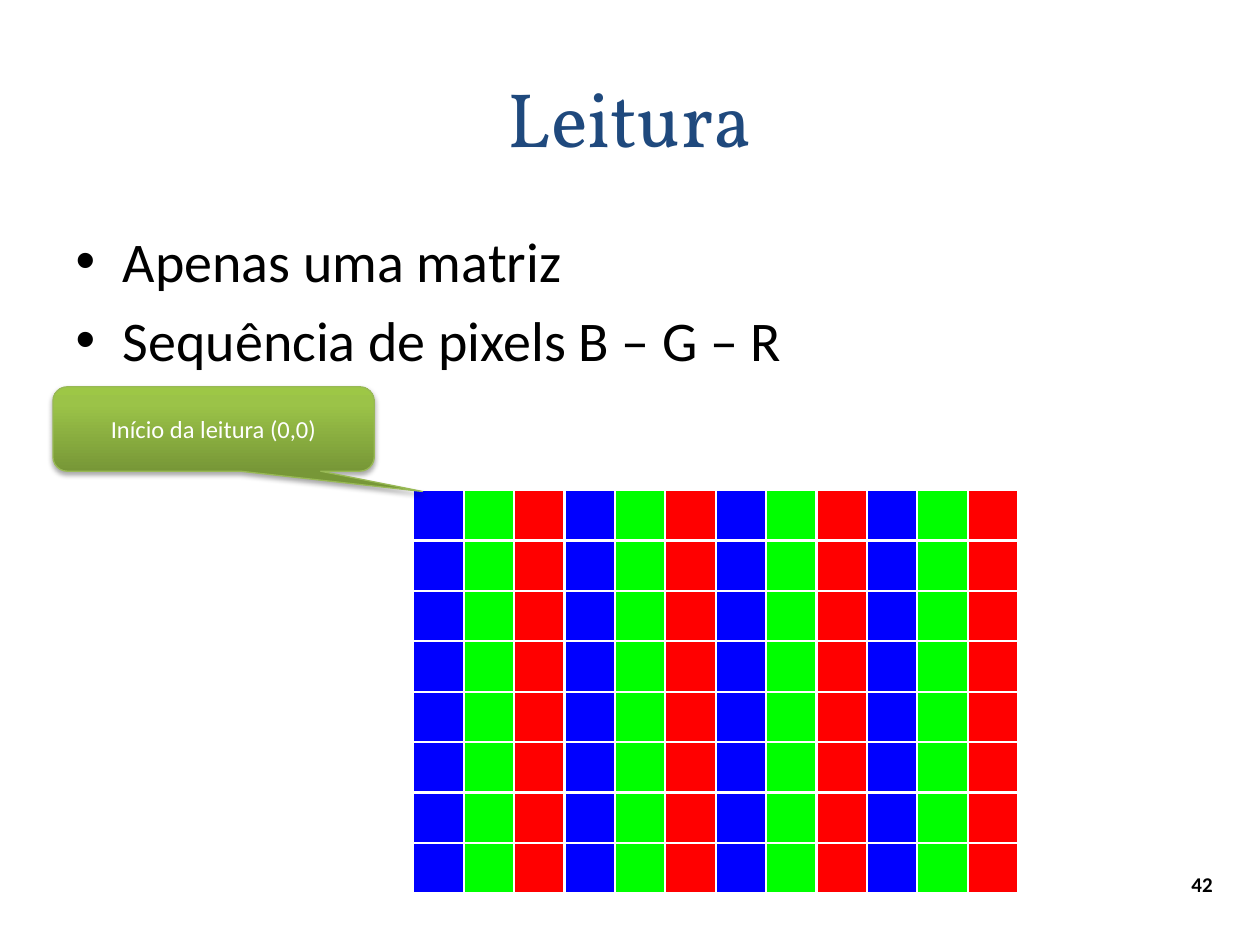
import dataclasses

import pptx
import pptx.dml.color
import pptx.enum.shapes
import pptx.enum.text
import pptx.oxml
import pptx.oxml.ns
import pptx.util

Inches = pptx.util.Inches
Pt = pptx.util.Pt
qn = pptx.oxml.ns.qn
ALIGN = pptx.enum.text.PP_ALIGN
MIDDLE = pptx.enum.text.MSO_ANCHOR.MIDDLE
NS = pptx.oxml.ns.nsdecls("a")


@dataclasses.dataclass(frozen=True)
class Box:
    left: float
    top: float
    width: float
    height: float

    def emu(self) -> tuple:
        return tuple(Inches(v) for v in dataclasses.astuple(self))


@dataclasses.dataclass(frozen=True)
class PixelGrid:
    left: float
    top: float
    side: float
    rows: int
    pixels: int
    channels: tuple


def rgb(value: str) -> pptx.dml.color.RGBColor:
    return pptx.dml.color.RGBColor.from_string(value)


def add_text(p, text: str, size=32, font="Calibri", color="000000",
             bold=False, align=None) -> None:
    if align is not None:
        p.alignment = align
    r = p.add_run()
    r.text = text
    r.font.size = Pt(size)
    r.font.name = font
    r.font.bold = bold
    r.font.color.rgb = rgb(color)


def place(sp, box: Box) -> None:
    sp.left, sp.top, sp.width, sp.height = box.emu()


def format_cell(cell, color: str) -> None:
    cell.margin_left = cell.margin_right = 0
    cell.margin_top = cell.margin_bottom = 0
    tcPr = cell._tc.get_or_add_tcPr()
    for side in ("lnL", "lnR", "lnT", "lnB"):
        tcPr.append(pptx.oxml.parse_xml(
            f'<a:{side} {NS} w="{Pt(1.5)}"><a:solidFill>'
            f'<a:srgbClr val="FFFFFF"/></a:solidFill></a:{side}>'))
    cell.fill.solid()
    cell.fill.fore_color.rgb = rgb(color)


def add_grid(s, grid: PixelGrid) -> None:
    cols = grid.pixels * len(grid.channels)
    box = Box(grid.left, grid.top, cols * grid.side, grid.rows * grid.side)
    table = s.shapes.add_table(grid.rows, cols, *box.emu()).table
    for line in (*table.columns,):
        line.width = Inches(grid.side)
    for row in table.rows:
        row.height = Inches(grid.side)
        for i, cell in enumerate(row.cells):
            format_cell(cell, grid.channels[i % len(grid.channels)])


def add_callout(s, box: Box, text: str) -> None:
    kind = pptx.enum.shapes.MSO_SHAPE.ROUNDED_RECTANGULAR_CALLOUT
    sp = s.shapes.add_shape(kind, *box.emu())
    for i, value in enumerate((0.65, 0.74, 0.17)):
        sp.adjustments[i] = value
    sp.fill.gradient()
    sp.fill.gradient_angle = 90
    sp.line.color.rgb = rgb("98B955")
    sp.line.width = Pt(0.75)
    sp.shadow.inherit = False
    spPr = sp._element.spPr
    stops = spPr.find(qn("a:gradFill")).find(qn("a:gsLst"))
    for stop in list(stops):
        stops.remove(stop)
    for pos, color in ((0, "779737"), (80, "9BC348"), (100, "9DC746")):
        stops.append(pptx.oxml.parse_xml(
            f'<a:gs {NS} pos="{pos * 1000}"><a:srgbClr val="{color}"/></a:gs>'))
    spPr.find(qn("a:effectLst")).append(pptx.oxml.parse_xml(
        f'<a:outerShdw {NS} blurRad="{Pt(3.1)}" dist="{Pt(1.8)}" dir="5400000" '
        'rotWithShape="0"><a:srgbClr val="000000"><a:alpha val="35000"/>'
        '</a:srgbClr></a:outerShdw>'))
    tf = sp.text_frame
    tf.word_wrap = True
    tf.vertical_anchor = MIDDLE
    add_text(tf.paragraphs[0], text, size=14, color="FFFFFF", align=ALIGN.CENTER)


def add_page_number(s, box: Box, text: str) -> None:
    tf = s.shapes.add_textbox(*box.emu()).text_frame
    tf.word_wrap = True
    tf.vertical_anchor = MIDDLE
    add_text(tf.paragraphs[0], text, size=12, bold=True, align=ALIGN.CENTER)


def main() -> None:
    prs = pptx.Presentation()
    prs.slide_width, prs.slide_height = Inches(10), Inches(7.5)
    s = prs.slides.add_slide(prs.slide_layouts[1])

    title, body = s.placeholders
    place(title, Box(0.5, 0.3, 9, 1.25))
    title.text_frame.vertical_anchor = MIDDLE
    add_text(title.text_frame.paragraphs[0], "Leitura", size=44,
             font="Vollkorn", color="1F497D", align=ALIGN.CENTER)

    place(body, Box(0.5, 1.75, 9, 4.95))
    tf = body.text_frame
    add_text(tf.paragraphs[0], "Apenas uma matriz")
    add_text(tf.add_paragraph(), "Sequência de pixels B – G – R")

    add_page_number(s, Box(9.33, 6.82, 0.42, 0.4), "42")
    add_grid(s, PixelGrid(3.28, 3.89, 0.4, 8, 4, ("0000FF", "00FF00", "FF0000")))
    add_callout(s, Box(0.42, 3.07, 2.55, 0.67), "Início da leitura (0,0)")
    prs.save("out.pptx")


if __name__ == "__main__":
    main()
